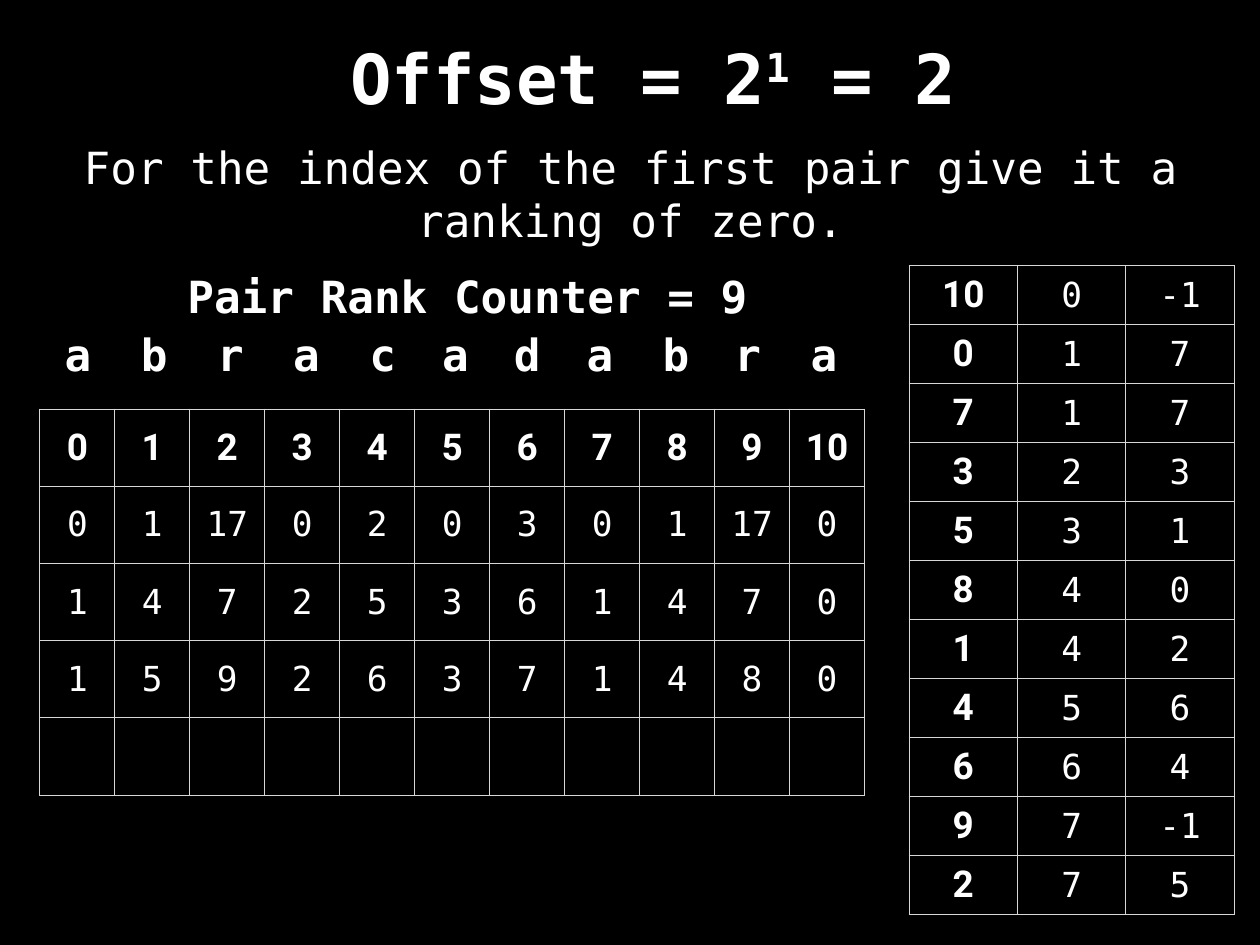
"""Build the slide on pair ranking with an offset of two."""
from lxml.etree import SubElement
from pptx import Presentation
from pptx.dml.color import RGBColor
from pptx.enum.text import MSO_ANCHOR, MSO_AUTO_SIZE, PP_ALIGN
from pptx.oxml.ns import qn
from pptx.util import Inches, Pt

BLACK = RGBColor(0x00, 0x00, 0x00)
WHITE = RGBColor(0xFF, 0xFF, 0xFF)
GRID_GRAY = RGBColor(0xD6, 0xD7, 0xD6)

MONO = "DejaVu Sans Mono"
TITLE = {"name": MONO, "size": Pt(56), "bold": True}
BODY = {"name": MONO, "size": Pt(36), "bold": False}
LABEL = {"name": MONO, "size": Pt(36), "bold": True}
INDEX = {"name": "Roboto", "size": Pt(30), "bold": True}
VALUE = {"name": MONO, "size": Pt(28), "bold": False}

INSET = Inches(0.06)
MARGINS = {f"margin_{side}": INSET for side in ("left", "top", "right", "bottom")}

TITLE_PARTS = [("Offset = 2", 0), ("1", 32), (" = 2", 0)]
INSTRUCTION = "For the index of the first pair give it a ranking of zero."
COUNTER = "Pair Rank Counter = 9"

LETTERS = "abracadabra"
LETTER_LEFTS = [0.67, 1.53, 2.39, 3.25, 4.11, 4.93, 5.74, 6.56, 7.42, 8.23, 9.09]

RANKS = [
    list(range(len(LETTERS))),
    [0, 1, 17, 0, 2, 0, 3, 0, 1, 17, 0],
    [1, 4, 7, 2, 5, 3, 6, 1, 4, 7, 0],
    [1, 5, 9, 2, 6, 3, 7, 1, 4, 8, 0],
    [""] * len(LETTERS),
]
PAIRS = [
    (10, 0, -1),
    (0, 1, 7),
    (7, 1, 7),
    (3, 2, 3),
    (5, 3, 1),
    (8, 4, 0),
    (1, 4, 2),
    (4, 5, 6),
    (6, 6, 4),
    (9, 7, -1),
    (2, 7, 5),
]


def apply(target, formats):
    for name, value in formats.items():
        setattr(target, name, value)


def add_run(paragraph, text, formats, baseline=0):
    run = paragraph.add_run()
    run.text = text
    apply(run.font, formats)
    run.font.color.rgb = WHITE
    if baseline:
        run._r.get_or_add_rPr().set("baseline", str(baseline * 1000))


def add_text(slide, box, parts, formats, alignment=PP_ALIGN.CENTER, wrap=False):
    frame = slide.shapes.add_textbox(*map(Inches, box)).text_frame
    apply(frame, MARGINS | {"word_wrap": wrap, "vertical_anchor": MSO_ANCHOR.MIDDLE,
                            "auto_size": MSO_AUTO_SIZE.SHAPE_TO_FIT_TEXT})
    paragraph = frame.paragraphs[0]
    paragraph.alignment = alignment
    for text, baseline in parts:
        add_run(paragraph, text, formats, baseline)


def add_borders(cell):
    properties = cell._tc.get_or_add_tcPr()
    for side in ("lnL", "lnR", "lnT", "lnB"):
        line = SubElement(properties, qn(f"a:{side}"), w=str(Pt(1)))
        fill = SubElement(line, qn("a:solidFill"))
        SubElement(fill, qn("a:srgbClr"), val=str(GRID_GRAY))


def add_grid(slide, box, rows, is_index):
    left, top, width, height = map(Inches, box)
    table = slide.shapes.add_table(len(rows), len(rows[0]), left, top, width, height).table
    apply(table, {"first_row": False, "horz_banding": False})
    for row_number, row in enumerate(rows):
        for column_number, value in enumerate(row):
            cell = table.cell(row_number, column_number)
            apply(cell, MARGINS | {"vertical_anchor": MSO_ANCHOR.MIDDLE})
            add_borders(cell)
            cell.fill.background()
            paragraph = cell.text_frame.paragraphs[0]
            paragraph.alignment = PP_ALIGN.CENTER
            if value != "":
                formats = INDEX if is_index(row_number, column_number) else VALUE
                add_run(paragraph, str(value), formats)


def main():
    presentation = Presentation()
    apply(presentation, {"slide_width": Inches(14.22), "slide_height": Inches(10.67)})
    slide = presentation.slides.add_slide(presentation.slide_layouts[6])
    slide.background.fill.solid()
    slide.background.fill.fore_color.rgb = BLACK

    add_grid(slide, (0.45, 4.62, 9.31, 4.36), RANKS, lambda row, column: row == 0)
    for letter, left in zip(LETTERS, LETTER_LEFTS):
        add_text(slide, (left, 3.66, 0.43, 0.68), [(letter, 0)], LABEL, PP_ALIGN.LEFT)
    add_text(slide, (2.36, 0.36, 10.02, 1.01), TITLE_PARTS, TITLE, wrap=True)
    add_text(slide, (0.57, 1.56, 13.09, 1.25), [(INSTRUCTION, 0)], BODY, wrap=True)
    add_grid(slide, (10.26, 3, 3.67, 7.33), PAIRS, lambda row, column: column == 0)
    add_text(slide, (2.05, 3, 6.45, 0.68), [(COUNTER, 0)], LABEL)

    presentation.save("out.pptx")


if __name__ == "__main__":
    main()
